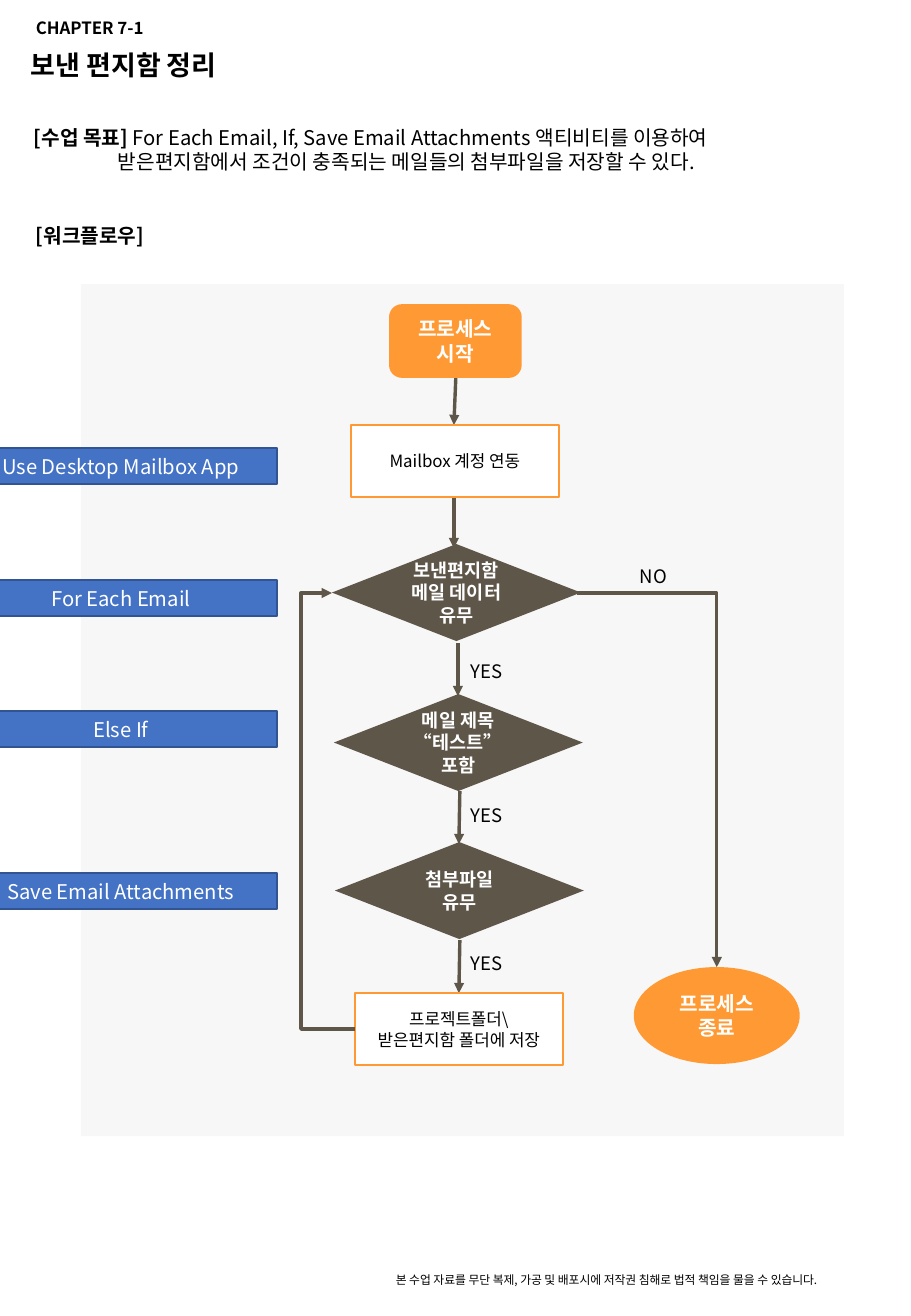
from dataclasses import dataclass

from lxml import etree
from pptx import Presentation
from pptx.dml.color import RGBColor
from pptx.enum.shapes import MSO_CONNECTOR, MSO_SHAPE
from pptx.enum.text import MSO_ANCHOR, PP_ALIGN
from pptx.oxml.ns import qn
from pptx.util import Inches, Pt

EMU_PER_PX = 914400 / 121.5


@dataclass(frozen=True)
class Theme:
    font: str = "Noto Sans CJK KR"
    black: str = "000000"
    white: str = "FFFFFF"
    panel: str = "F2F2F2"
    panel_alpha: int = 54
    orange: str = "FF9933"
    brown: str = "5F564A"
    blue: str = "4472C4"
    blue_edge: str = "325491"
    title: int = 16
    body: int = 12
    decision: int = 11
    small: int = 10
    footer: int = 7
    edge: int = 1
    arrow: int = 2


T = Theme()


def px(value):
    return round(value * EMU_PER_PX)


def rgb(color):
    return RGBColor.from_string(color)


# Shared building blocks
def add_run(paragraph, text, size, color, bold=False):
    run = paragraph.add_run()
    run.text = text
    font = run.font
    font.name, font.size, font.bold = T.font, Pt(size), bold
    font.color.rgb = rgb(color)
    latin = font._element.find(qn("a:latin"))
    east_asian = etree.Element(qn("a:ea"), typeface=T.font)
    latin.addnext(east_asian)


def write_lines(frame, text, size, color, bold=False, align=PP_ALIGN.LEFT):
    frame.word_wrap = True
    for number, line in enumerate(text.split("\n")):
        paragraph = frame.add_paragraph() if number else frame.paragraphs[0]
        paragraph.alignment = align
        add_run(paragraph, line, size, color, bold)


def add_text(slide, box, text, size, bold=False):
    frame = slide.shapes.add_textbox(*map(px, box)).text_frame
    write_lines(frame, text, size, T.black, bold)


def add_block(slide, kind, box, fill, edge=None, text="", size=T.body,
              color=T.white, bold=False):
    shape = slide.shapes.add_shape(kind, *map(px, box))
    shape.shadow.inherit = False
    shape.fill.solid()
    shape.fill.fore_color.rgb = rgb(fill)
    if edge:
        shape.line.color.rgb = rgb(edge)
        shape.line.width = Pt(T.edge)
    else:
        shape.line.fill.background()
    if text:
        shape.text_frame.vertical_anchor = MSO_ANCHOR.MIDDLE
        write_lines(shape.text_frame, text, size, color, bold, PP_ALIGN.CENTER)
    return shape


def add_arrow(slide, start, end, kind=MSO_CONNECTOR.STRAIGHT):
    arrow = slide.shapes.add_connector(kind, *map(px, (*start, *end)))
    arrow.line.color.rgb = rgb(T.brown)
    arrow.line.width = Pt(T.arrow)
    etree.SubElement(arrow.line._get_or_add_ln(), qn("a:tailEnd"), type="triangle")
    etree.SubElement(arrow._element.spPr, qn("a:effectLst"))
    return arrow._element.spPr.find(qn("a:prstGeom"))


# Regions
def draw_header(slide, box):
    x, y, width, _ = box
    add_text(slide, (x, y + 31, width, 45), "보낸 편지함 정리", T.title, bold=True)
    add_text(slide, (x + 5, y, 157, 33), "CHAPTER 7-1", T.small, bold=True)


def draw_goal(slide, box):
    frame = slide.shapes.add_textbox(*map(px, box)).text_frame
    frame.word_wrap = True
    first, second = frame.paragraphs[0], frame.add_paragraph()
    add_run(first, "[수업 목표] ", T.body, T.black, bold=True)
    add_run(first, "For Each Email, If, Save Email Attachments 액티비티를 이용하여",
            T.body, T.black)
    add_run(second, "받은편지함에서 조건이 충족되는 메일들의 첨부파일을 저장할 수 있다.",
            T.body, T.black)
    second._p.get_or_add_pPr().set("marL", str(px(84)))


def draw_flowchart(slide, box):
    left, top, _, _ = box

    def at(x, y):
        return left + x, top + y

    # Background panel
    panel = add_block(slide, MSO_SHAPE.FLOWCHART_PROCESS, box, T.panel)
    tint = panel.fill._xPr.find(qn("a:solidFill"))[0]
    etree.SubElement(tint, qn("a:alpha"), val=str(T.panel_alpha * 1000))

    # Arrows down the main path
    for start, end in [((375, 93), (373, 141)), ((373, 212), (373, 264)),
                       ((377, 359), (377, 412)), ((379, 507), (378, 560)),
                       ((379, 656), (378, 709))]:
        add_arrow(slide, at(*start), at(*end))

    # Start and end
    add_block(slide, MSO_SHAPE.FLOWCHART_ALTERNATE_PROCESS, (*at(309, 21), 131, 72),
              T.orange, T.orange, "프로세스\n시작", bold=True)
    add_block(slide, MSO_SHAPE.OVAL, (*at(553, 683), 166, 97),
              T.orange, text="프로세스 종료", bold=True)

    # Process steps
    for x, y, text in [(270, 141, "Mailbox 계정 연동"),
                       (274, 709, "프로젝트폴더\\\n받은편지함 폴더에 저장")]:
        add_block(slide, MSO_SHAPE.FLOWCHART_PROCESS, (*at(x, y), 208, 72),
                  T.white, T.orange, text, T.small, T.black)

    # Decisions, each with its YES branch
    for x, y, label_y, text in [(251, 260, 370, "보낸편지함\n메일 데이터\n유무"),
                                (253, 410, 514, "메일 제목\n“테스트”\n포함"),
                                (254, 558, 662, "첨부파일\n유무")]:
        add_block(slide, MSO_SHAPE.FLOWCHART_DECISION, (*at(x, y), 249, 97),
                  T.brown, text=text, size=T.decision, bold=True)
        add_text(slide, (*at(378, label_y), 60, 35), "YES", T.decision)

    # Loop back to the first decision
    loop_start, loop_end, loop_x = (274, 745), (251, 309), 220
    loop = add_arrow(slide, at(*loop_start), at(*loop_end), MSO_CONNECTOR.ELBOW)
    bend = (loop_start[0] - loop_x) / (loop_start[0] - loop_end[0])
    etree.SubElement(loop.find(qn("a:avLst")), qn("a:gd"), name="adj1",
                     fmla=f"val {round(bend * 100000)}")

    # NO branch, with a single corner
    no_branch = add_arrow(slide, at(496, 309), at(636, 683), MSO_CONNECTOR.ELBOW)
    no_branch.set("prst", "bentConnector2")
    add_text(slide, (*at(547, 275), 60, 35), "NO", T.decision)


def draw_activities(slide, box):
    x, y, width, _ = box
    for offset, name in [(0, "Use Desktop Mailbox App"), (132, "For Each Email"),
                         (263, "Else If"), (425, "Save Email Attachments")]:
        add_block(slide, MSO_SHAPE.RECTANGLE, (x, y + offset, width, 36),
                  T.blue, T.blue_edge, name)


def draw_footer(slide, box):
    add_text(slide, box, "본 수업 자료를 무단 복제, 가공 및 배포시에 저작권 침해로 "
             "법적 책임을 물을 수 있습니다.", T.footer)


prs = Presentation()
prs.slide_width, prs.slide_height = Inches(7.5), Inches(10.83)
page = prs.slides.add_slide(prs.slide_layouts[6])
draw_header(page, (19, 12, 436, 76))
draw_goal(page, (22, 119, 826, 61))
add_text(page, (24, 217, 826, 36), "[워크플로우]", T.body, bold=True)
draw_flowchart(page, (81, 284, 763, 852))
draw_activities(page, (-35, 448, 312, 461))
draw_footer(page, (384, 1267, 502, 26))
prs.save("out.pptx")
